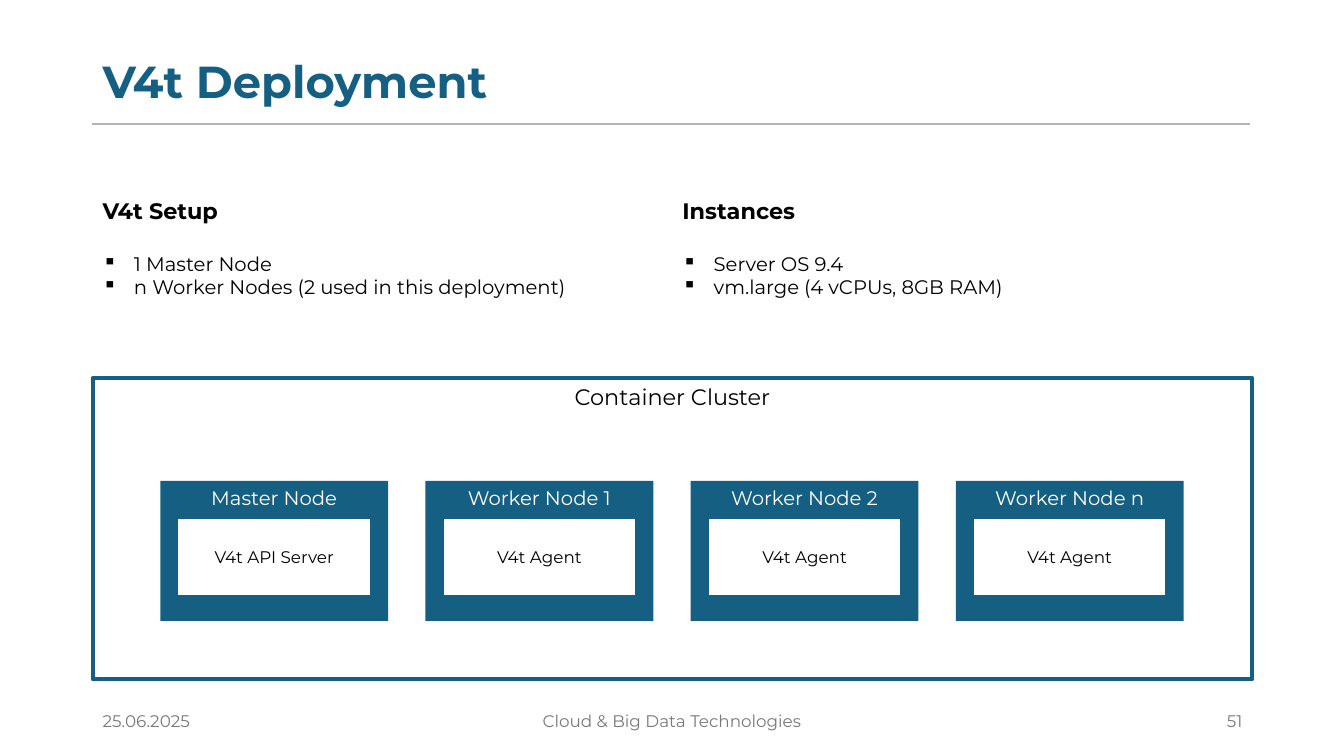
from lxml import etree
from pptx import Presentation
from pptx.dml.color import RGBColor
from pptx.enum.shapes import MSO_CONNECTOR, MSO_SHAPE
from pptx.enum.text import MSO_ANCHOR, PP_ALIGN
from pptx.oxml.ns import qn
from pptx.util import Inches, Pt

LEFT, CENTER, RIGHT = PP_ALIGN.LEFT, PP_ALIGN.CENTER, PP_ALIGN.RIGHT
TOP, MIDDLE, BOTTOM = MSO_ANCHOR.TOP, MSO_ANCHOR.MIDDLE, MSO_ANCHOR.BOTTOM
RECTANGLE, STRAIGHT = MSO_SHAPE.RECTANGLE, MSO_CONNECTOR.STRAIGHT
TEAL = RGBColor(0x15, 0x60, 0x82)
BLACK = RGBColor(0x00, 0x00, 0x00)
WHITE = RGBColor(0xFF, 0xFF, 0xFF)
GRAY = RGBColor(0x79, 0x79, 0x79)
RULE_GRAY = RGBColor(0xB2, 0xB2, 0xB2)

WIDTH, HEIGHT = 13.33, 7.5
MARGIN = 0.92
CONTENT = 11.5
COLUMN = CONTENT / 2
NODE_LEFT, NODE_STEP, NODE_WIDTH = 1.59, 2.63, 2.26
AGENT_INSET = 0.17


def write(shape, lines, size, color, align=LEFT, anchor=TOP, bold=False):
    frame = shape.text_frame
    frame.word_wrap = True
    frame.vertical_anchor = anchor
    frame.text = "\n".join(lines)
    for paragraph in frame.paragraphs:
        paragraph.alignment = align
        font = paragraph.runs[0].font
        font.color.rgb = color
        for name, value in {"name": "Montserrat", "size": Pt(size), "bold": bold}.items():
            setattr(font, name, value)
    return frame.paragraphs


def add_box(shapes, place, fill=None, line=None):
    box = shapes.add_shape(RECTANGLE, *map(Inches, place))
    box.shadow.inherit = False
    if fill is None:
        box.fill.background()
    else:
        box.fill.solid()
        box.fill.fore_color.rgb = fill
    if line is None:
        box.line.fill.background()
    else:
        box.line.color.rgb = TEAL
        box.line.width = Pt(line)
    return box


presentation = Presentation()
presentation.slide_width = Inches(WIDTH)
presentation.slide_height = Inches(HEIGHT)
slide = presentation.slides.add_slide(presentation.slide_layouts[6])
shapes = slide.shapes

rule = shapes.add_connector(STRAIGHT, Inches(0.91), Inches(1.23), Inches(12.4), Inches(1.23))
rule.line.color.rgb = RULE_GRAY
rule.line.width = Pt(1.5)
etree.SubElement(rule._element.spPr, qn("a:effectLst"))

title = shapes.add_textbox(Inches(MARGIN), Inches(0.4), Inches(CONTENT), Inches(0.72))
write(title, ["V4t Deployment"], 32, TEAL, anchor=BOTTOM, bold=True)[0].line_spacing = 0.9

cluster = add_box(shapes, (MARGIN, 3.75, CONTENT, 2.99), line=3)
write(cluster, ["Container Cluster"], 16, BLACK, CENTER)

nodes = [
    ("Master Node", "V4t API Server"),
    ("Worker Node 1", "V4t Agent"),
    ("Worker Node 2", "V4t Agent"),
    ("Worker Node n", "V4t Agent"),
]
for index, (node_name, service) in enumerate(nodes):
    left = NODE_LEFT + index * NODE_STEP
    group = shapes.add_group_shape()
    node = add_box(group.shapes, (left, 4.77, NODE_WIDTH, 1.39), TEAL)
    write(node, [node_name], 14, WHITE, CENTER)
    agent_place = (left + AGENT_INSET, 5.14, NODE_WIDTH - 2 * AGENT_INSET, 0.77)
    agent = add_box(group.shapes, agent_place, WHITE, 1.5)
    write(agent, [service], 12, BLACK, CENTER, MIDDLE)

columns = [
    ("V4t Setup", "1 Master Node", "n Worker Nodes (2 used in this deployment)"),
    ("Instances", "Server OS 9.4", "vm.large (4 vCPUs, 8GB RAM)"),
]
for index, lines in enumerate(columns):
    column = shapes.add_textbox(
        Inches(MARGIN + index * COLUMN), Inches(1.91), Inches(COLUMN), Inches(1.11)
    )
    heading, *items = write(column, lines, 14, BLACK)
    heading.runs[0].font.size = Pt(16)
    heading.runs[0].font.bold = True
    heading.space_after = Pt(19.5)
    for item in items:
        properties = item._p.get_or_add_pPr()
        properties.set("marL", str(Inches(0.31)))
        properties.set("indent", str(-Inches(0.31)))
        etree.SubElement(properties, qn("a:buChar"), char="▪")

footers = [
    (MARGIN, 3, "25.06.2025", LEFT),
    ((WIDTH - 4.5) / 2, 4.5, "Cloud & Big Data Technologies", CENTER),
    (MARGIN + CONTENT - 3, 3, "51", RIGHT),
]
for left, width, words, align in footers:
    footer = shapes.add_textbox(Inches(left), Inches(6.95), Inches(width), Inches(0.4))
    write(footer, [words], 12, GRAY, align, MIDDLE)

presentation.save("out.pptx")
